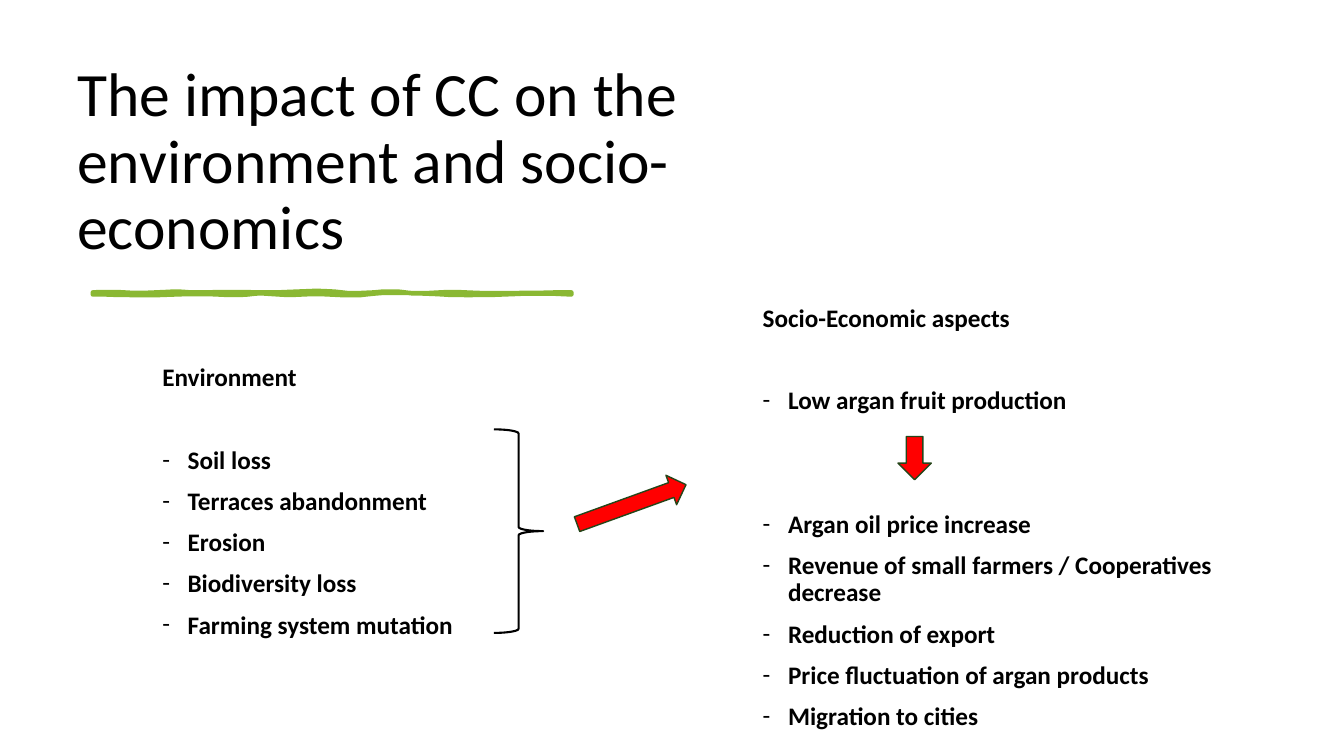
import pptx
import pptx.dml.color
import pptx.enum.shapes
import pptx.enum.text
import pptx.oxml.ns
import pptx.util
from dataclasses import dataclass
from lxml import etree

Cm = pptx.util.Cm
Pt = pptx.util.Pt
SHAPES = pptx.enum.shapes.MSO_SHAPE


@dataclass(frozen=True)
class Theme:
    font: str = "Calibri"
    ink: str = "000000"
    green: str = "8AB833"
    red: str = "FF0000"
    arrow_edge: str = "254519"
    title_size: float = 44
    body_size: float = 18
    paragraph_gap: float = 10
    blank_line: float = 29.5
    line_spacing: float = 0.9


THEME = Theme()

TITLE = "The impact of CC on the environment and socio-economics"
ENVIRONMENT = [
    ("Soil loss", 1),
    ("Terraces abandonment", 0),
    ("Erosion", 0),
    ("Biodiversity loss", 0),
    ("Farming system mutation", 0),
]
SOCIO_ECONOMIC = [
    ("Low argan fruit production", 1),
    ("Argan oil price increase", 2),
    ("Revenue of small farmers / Cooperatives decrease", 0),
    ("Reduction of export", 0),
    ("Price fluctuation of argan products", 0),
    ("Migration to cities", 0),
]

STROKE_START = (234, 737)
UPPER_EDGE = [
    ((297, 732), (325, 742), (394, 737)),
    ((462, 732), (475, 739), (528, 737)),
    ((582, 734), (625, 737), (678, 737)),
    ((732, 737), (818, 729), (861, 737)),
    ((907, 744), (980, 729), (1021, 737)),
    ((1064, 744), (1115, 732), (1171, 737)),
    ((1227, 742), (1344, 737), (1440, 737)),
]
RIGHT_END = [((1440, 739), (1440, 740), (1440, 742))]
LOWER_EDGE = [
    ((1374, 739), (1344, 739), (1267, 742)),
    ((1191, 744), (1161, 744), (1118, 742)),
    ((1077, 739), (965, 734), (922, 742)),
    ((879, 749), (826, 737), (762, 742)),
    ((699, 747), (671, 734), (625, 742)),
    ((582, 747), (526, 737), (442, 742)),
    ((358, 747), (325, 742), (234, 742)),
]


def color(value):
    return pptx.dml.color.RGBColor.from_string(value)


def apply_format(target, values):
    for name, value in values.items():
        setattr(target, name, value)


def add_text_box(page, left, top, width, height, anchor):
    frame = page.shapes.add_textbox(Cm(left), Cm(top), Cm(width), Cm(height)).text_frame
    apply_format(frame, {"word_wrap": True, "vertical_anchor": anchor})
    return frame


def write_paragraph(para, text, size, bold=False, space_before=0):
    apply_format(para, {
        "line_spacing": THEME.line_spacing,
        "space_before": Pt(space_before),
    })
    span = para.add_run()
    span.text = text
    apply_format(span.font, {"name": THEME.font, "size": Pt(size), "bold": bold})
    span.font.color.rgb = color(THEME.ink)


def add_dash(para):
    properties = para._p.get_or_add_pPr()
    properties.set("marL", str(Cm(0.64)))
    properties.set("indent", str(-Cm(0.64)))
    for tag, name, value in (("a:buFont", "typeface", THEME.font), ("a:buChar", "char", "-")):
        element = etree.SubElement(properties, pptx.oxml.ns.qn(tag))
        element.set(name, value)


def add_title(page):
    frame = add_text_box(page, 1.7, 1.02, 22, 5.74, pptx.enum.text.MSO_ANCHOR.BOTTOM)
    write_paragraph(frame.paragraphs[0], TITLE, THEME.title_size)


def add_aspect_list(page, left, top, heading, items):
    frame = add_text_box(page, left, top, 13.08, 11.38, pptx.enum.text.MSO_ANCHOR.TOP)
    write_paragraph(frame.paragraphs[0], heading, THEME.body_size, True)
    for text, skipped_lines in items:
        para = frame.add_paragraph()
        add_dash(para)
        gap = THEME.paragraph_gap + skipped_lines * THEME.blank_line
        write_paragraph(para, text, THEME.body_size, True, gap)


def style_shape(shape, fill, line, width):
    shape.shadow.inherit = False
    if fill:
        shape.fill.solid()
        shape.fill.fore_color.rgb = color(fill)
    else:
        shape.fill.background()
    shape.line.color.rgb = color(line)
    shape.line.width = Pt(width)


def add_preset(page, kind, left, top, width, height, fill, line, line_width, rotation=0):
    shape = page.shapes.add_shape(kind, Cm(left), Cm(top), Cm(width), Cm(height))
    style_shape(shape, fill, line, line_width)
    shape.rotation = rotation


def add_red_arrow(page, left, top, width, height, rotation=0):
    add_preset(page, SHAPES.DOWN_ARROW, left, top, width, height,
               THEME.red, THEME.arrow_edge, 1, rotation)


def curve_points(start, curves, steps=8):
    points = []
    for first, second, end in curves:
        for step in range(1, steps + 1):
            t = step / steps
            weights = ((1 - t) ** 3, 3 * t * (1 - t) ** 2, 3 * t * t * (1 - t), t ** 3)
            corners = (start, first, second, end)
            points.append(tuple(
                sum(weight * corner[axis] for weight, corner in zip(weights, corners))
                for axis in (0, 1)
            ))
        start = end
    return points


def add_brush_stroke(page):
    builder = page.shapes.build_freeform(*STROKE_START, scale=Cm(0.01))
    builder.add_line_segments(
        curve_points(STROKE_START, UPPER_EDGE + RIGHT_END + LOWER_EDGE), close=True)
    style_shape(builder.convert_to_shape(), THEME.green, THEME.green, 3.25)


def main():
    deck = pptx.Presentation()
    apply_format(deck, {"slide_width": Cm(33.87), "slide_height": Cm(19.05)})
    page = deck.slides.add_slide(deck.slide_layouts[6])
    add_title(page)
    add_brush_stroke(page)
    add_aspect_list(page, 18.97, 7.57, "Socio-Economic aspects", SOCIO_ECONOMIC)
    add_red_arrow(page, 22.63, 11, 0.84, 1.09)
    add_aspect_list(page, 3.84, 9.07, "Environment", ENVIRONMENT)
    add_preset(page, SHAPES.RIGHT_BRACE, 12.45, 10.82, 1.24, 5.13, None, THEME.ink, 1.5)
    add_red_arrow(page, 15.52, 11.25, 0.79, 2.92, 250.1)
    deck.save("out.pptx")


if __name__ == "__main__":
    main()
